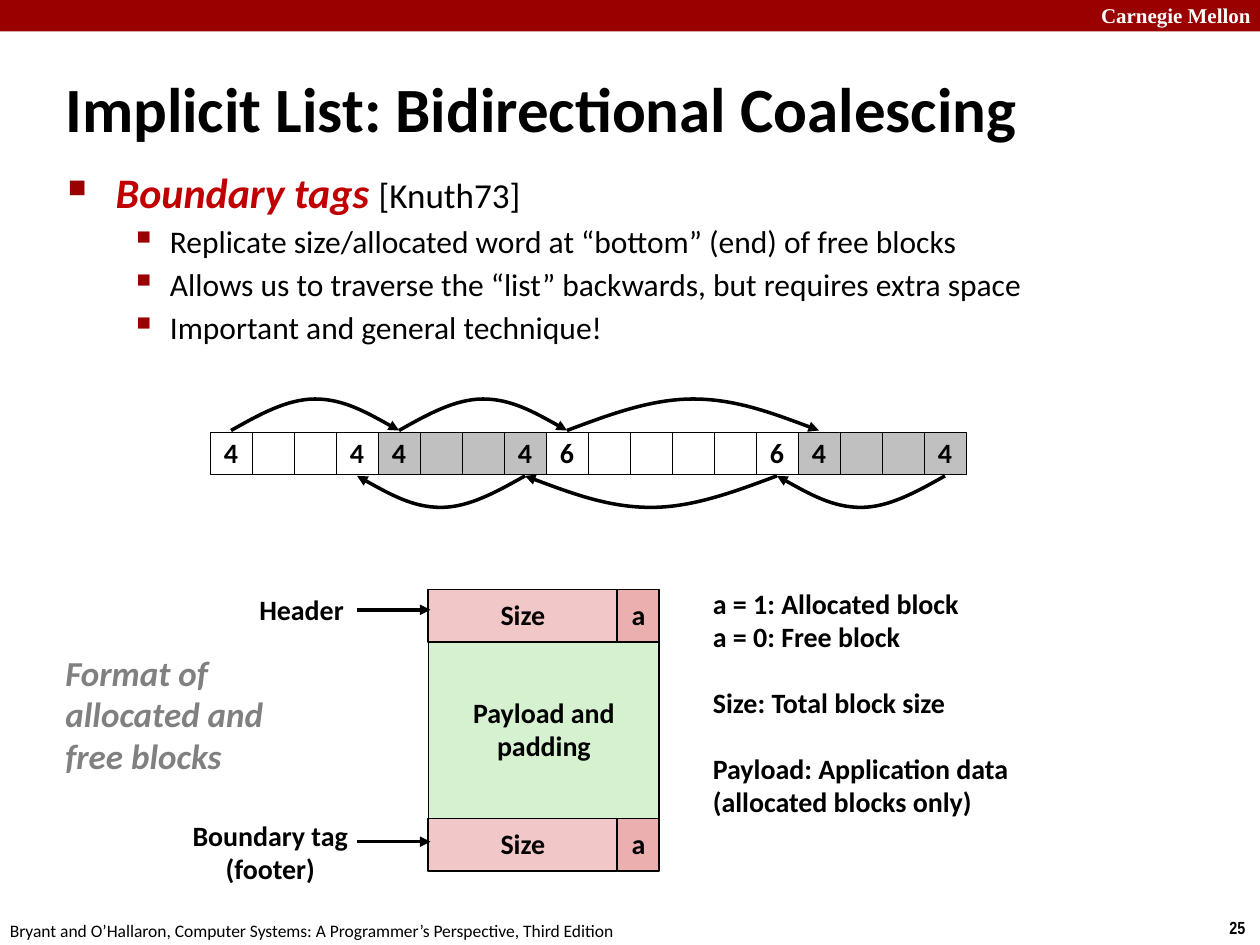
from lxml import etree
from pptx import Presentation
from pptx.dml.color import RGBColor
from pptx.enum.shapes import MSO_CONNECTOR, MSO_SHAPE
from pptx.enum.text import MSO_ANCHOR, PP_ALIGN
from pptx.oxml.ns import qn
from pptx.util import Inches, Pt

RECT = MSO_SHAPE.RECTANGLE
STRAIGHT = MSO_CONNECTOR.STRAIGHT
LEFT, CENTER = PP_ALIGN.LEFT, PP_ALIGN.CENTER
TOP, MIDDLE = MSO_ANCHOR.TOP, MSO_ANCHOR.MIDDLE

THEME = {
    "font": "Calibri", "serif": "Times New Roman", "narrow": "Arial Narrow",
    "black": "000000", "white": "FFFFFF", "crimson": "990000", "term": "C00000",
    "muted": "808080", "allocated": "C0C0C0", "size_fill": "F1C7C7",
    "flag_fill": "EBAFAF", "payload_fill": "D5F1CF",
    "title": 36, "topic": 24, "subtitle": 20, "point": 18, "label": 16,
    "school": 12, "footer": 10,
}
COLUMNS = 30
WIDTH, HEIGHT = Inches(10), Inches(7.5)
UNIT = WIDTH / COLUMNS

TITLE = "Implicit List: Bidirectional Coalescing"
TOPIC = [("Boundary tags ", {"size": "topic", "color": "term", "bold": True, "italic": True}),
         ("[Knuth73]", {"size": "subtitle"})]
POINTS = [
    "Replicate size/allocated word at “bottom” (end) of free blocks",
    "Allows us to traverse the “list” backwards, but requires extra space",
    "Important and general technique!",
]
HEAP_BLOCKS = [(4, "white"), (4, "allocated"), (6, "white"), (4, "allocated")]
HEAP_LEFT, HEAP_TOP = 5, 10.29
ARC_HEIGHT, ARC_GAP = 0.75, 0.04

FORMAT_LEFT, FORMAT_TOP = 10.2, 14.04
SIZE_WIDTH, FLAG_WIDTH, TAG_HEIGHT, PAYLOAD_HEIGHT = 4.5, 1, 1.25, 4.2
FOOTER_TOP = FORMAT_TOP + TAG_HEIGHT + PAYLOAD_HEIGHT
POINTER_START, POINTER_END = 8.5, 10.25

LEGEND = [("a = 1: Allocated block", 0), ("a = 0: Free block", 0),
          ("Size: Total block size", 19),
          ("Payload: Application data", 19), ("(allocated blocks only)", 0)]
CAPTIONS = [
    (["Format of", "allocated and", "free blocks"], (1.26, 15.42, 5.34, 3.27),
     {"size": "subtitle", "color": "muted", "italic": True}),
    (["Header"], (5.88, 14.01, 2.64, 1.11), {}),
    (["Boundary tag", "(footer)"], (4.26, 19.38, 4.35, 1.89), {"align": CENTER}),
    (LEGEND, (16.68, 13.86, 7.71, 6.66), {}),
]
FURNITURE = [
    ("Carnegie Mellon", (25.92, -0.09, 4.29, 0.9),
     {"size": "school", "font": "serif", "color": "white", "bold": True}),
    ("25", (28.98, 21.69, 1.02, 0.81), {"size": "footer", "font": "narrow", "bold": True}),
    ("Bryant and O’Hallaron, Computer Systems: A Programmer’s Perspective, Third Edition",
     (-0.06, 21.75, 15.24, 0.81), {"size": "footer"}),
]

deck = Presentation()
deck.slide_width, deck.slide_height = WIDTH, HEIGHT
slide = deck.slides.add_slide(deck.slide_layouts[6])
shapes = slide.shapes


def grid(*lengths):
    return [round(length * UNIT) for length in lengths]


def rgb(name):
    return RGBColor.from_string(THEME[name])


def add_text(frame, text, first=False, size="label", font="font", color="black",
             bold=False, italic=False, align=LEFT, spacing=1.0, before=0):
    paragraph = frame.paragraphs[0] if first else frame.add_paragraph()
    paragraph.alignment = align
    paragraph.line_spacing = spacing
    if before:
        paragraph.space_before = Pt(before)
    run_format = {"size": size, "font": font, "color": color, "bold": bold, "italic": italic}
    for wording, changes in [(text, {})] if isinstance(text, str) else text:
        look = {**run_format, **changes}
        run = paragraph.add_run()
        run.text = wording
        run.font.size = Pt(THEME[look["size"]])
        run.font.name = THEME[look["font"]]
        run.font.color.rgb = rgb(look["color"])
        run.font.bold, run.font.italic = look["bold"], look["italic"]
    return paragraph


def add_frame(place, wrap=False, anchor=TOP):
    frame = shapes.add_textbox(*grid(*place)).text_frame
    frame.word_wrap = wrap
    frame.vertical_anchor = anchor
    return frame


def add_bullet(paragraph, mark, percent, margin, indent):
    properties = paragraph._p.get_or_add_pPr()
    properties.set("marL", str(Inches(margin)))
    properties.set("indent", str(-Inches(indent)))
    color = etree.SubElement(properties, qn("a:buClr"))
    etree.SubElement(color, qn("a:srgbClr"), val=THEME["crimson"])
    etree.SubElement(properties, qn("a:buSzPct"), val=str(percent * 1000))
    etree.SubElement(properties, qn("a:buChar"), char=mark)


def add_box(place, fill, lines=(), border=1):
    box = shapes.add_shape(RECT, *grid(*place))
    box.shadow.inherit = False
    box.fill.solid()
    box.fill.fore_color.rgb = rgb(fill)
    if border:
        box.line.color.rgb = rgb("black")
        box.line.width = Pt(border)
    else:
        box.line.fill.background()
    frame = box.text_frame
    frame.word_wrap = False
    frame.vertical_anchor = MIDDLE
    for index, line in enumerate(lines):
        add_text(frame, line, first=index == 0, bold=True, align=CENTER, spacing=0.98)


def style_arrow(arrow):
    arrow.line.color.rgb = rgb("black")
    arrow.line.width = Pt(2)
    etree.SubElement(arrow.line._get_or_add_ln(), qn("a:tailEnd"), type="triangle")


def add_pointer(y):
    pointer = shapes.add_connector(STRAIGHT, *grid(POINTER_START, y, POINTER_END, y))
    style_arrow(pointer)
    etree.SubElement(pointer._element.spPr, qn("a:effectLst"))


def add_arc(start, end, base, rise):
    shares = [(0, 0), (1 / 6, 0.5), (1 / 3, 1), (1 / 2, 1), (2 / 3, 1), (5 / 6, 0.5), (1, 0)]
    points = [tuple(grid(start + (end - start) * x, base + rise * y)) for x, y in shares]
    builder = shapes.build_freeform(*points[0])
    builder.add_line_segments(points[1:], close=False)
    arc = builder.convert_to_shape()
    arc.shadow.inherit = False
    arc.fill.background()
    style_arrow(arc)
    outline = arc._element.find(".//" + qn("a:path"))
    segments = outline.findall(qn("a:lnTo"))
    for first in range(0, len(segments), 3):
        curve = etree.SubElement(outline, qn("a:cubicBezTo"))
        for segment in segments[first:first + 3]:
            curve.append(segment[0])
            outline.remove(segment)


add_box((0, 0, COLUMNS, 0.75), "crimson", border=0)
for wording, place, look in FURNITURE:
    add_text(add_frame(place), wording, first=True, **look)

add_text(add_frame((1.26, 1.62, 28.74, 1.89), True, MIDDLE), TITLE,
         first=True, size="title", bold=True)
body = add_frame((1.32, 4.02, 27.27, 4.35), wrap=True)
add_bullet(add_text(body, TOPIC, first=True, spacing=0.83), "■", 60, 0.38, 0.38)
for point in POINTS:
    add_bullet(add_text(body, point, size="point", spacing=0.88, before=5.6),
               "▪", 110, 0.81, 0.31)

headers, footers = [], []
column = HEAP_LEFT
for words, fill in HEAP_BLOCKS:
    for word in range(words):
        tag = [str(words)] if word in (0, words - 1) else []
        add_box((column + word, HEAP_TOP, 1, 1), fill, tag, border=0.25)
    headers.append(column + 0.5)
    column += words
    footers.append(column - 0.5)
for index in range(len(HEAP_BLOCKS) - 1):
    add_arc(headers[index], headers[index + 1], HEAP_TOP - ARC_GAP, -ARC_HEIGHT)
    add_arc(footers[index + 1], footers[index], HEAP_TOP + 1 + ARC_GAP, ARC_HEIGHT)

add_box((FORMAT_LEFT, FORMAT_TOP + TAG_HEIGHT, SIZE_WIDTH + FLAG_WIDTH, PAYLOAD_HEIGHT),
        "payload_fill", ["Payload and", "padding"])
for top, pointer_y in [(FORMAT_TOP, 14.52), (FOOTER_TOP, 20.04)]:
    add_box((FORMAT_LEFT, top, SIZE_WIDTH, TAG_HEIGHT), "size_fill", ["Size"])
    add_box((FORMAT_LEFT + SIZE_WIDTH, top, FLAG_WIDTH, TAG_HEIGHT), "flag_fill", ["a"])
    add_pointer(pointer_y)

for lines, place, look in CAPTIONS:
    caption = add_frame(place)
    for index, line in enumerate(lines):
        wording, before = (line, 0) if isinstance(line, str) else line
        add_text(caption, wording, first=index == 0, bold=True, spacing=0.98,
                 before=before, **look)

deck.save("out.pptx")
